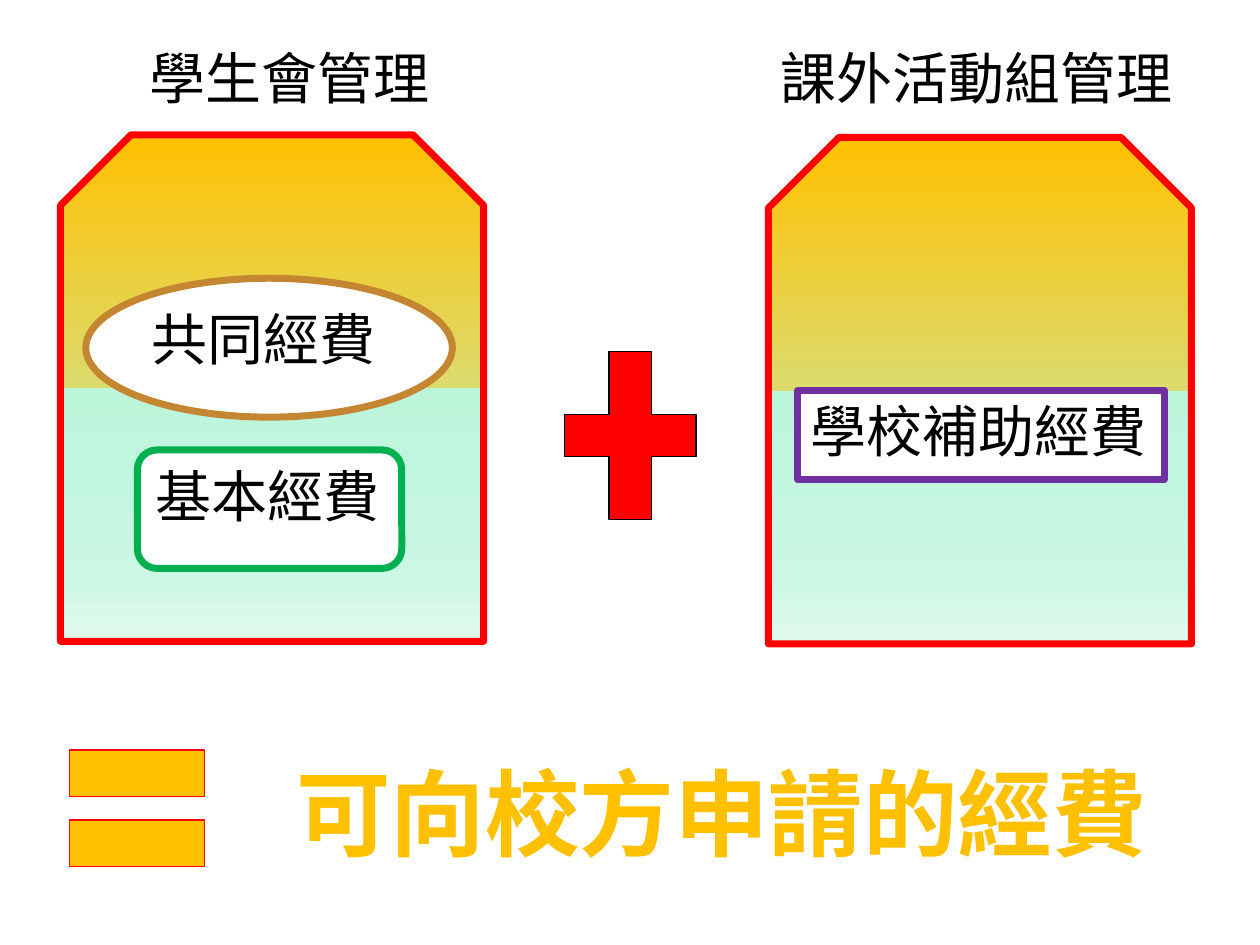
from lxml import etree
from pptx import Presentation
from pptx.dml.color import RGBColor
from pptx.enum.shapes import MSO_SHAPE as Preset
from pptx.enum.text import MSO_ANCHOR as Anchor, PP_ALIGN as Align
from pptx.oxml.ns import qn
from pptx.util import Cm, Pt

FONT = "Noto Sans CJK SC"
COLOURS = {
    "white": "FFFFFF", "black": "000000", "red": "FF0000", "gold": "FFC000",
    "bronze": "C58631", "green": "00B050", "purple": "7030A0",
}
CARD_GRADIENT = [
    (0, "FFC000"), (50, "DCDB6E"), (50, "BAF5DA"),
    (88, "CCF7E4"), (94, "D9F9EB"), (100, "DEF9EC"),
]


def colour(name):
    return RGBColor.from_string(COLOURS[name])


def write_text(shape, text, size=32, ink="black", bold=False, align=Align.LEFT, wrap=True):
    frame = shape.text_frame
    frame.word_wrap = wrap
    frame.vertical_anchor = Anchor.TOP
    paragraph = frame.paragraphs[0]
    paragraph.alignment = align
    run = paragraph.add_run()
    run.text = text
    run.font.color.rgb = colour(ink)
    for name, value in {"name": FONT, "size": Pt(size), "bold": bold}.items():
        setattr(run.font, name, value)
    etree.SubElement(run.font._element, qn("a:ea"), typeface=FONT)


def add_figure(slide, preset, box, line, width, fill=None):
    shape = slide.shapes.add_shape(preset, *map(Cm, box))
    shape.shadow.inherit = False
    shape.line.color.rgb = colour(line)
    shape.line.width = Pt(width)
    if fill:
        shape.fill.solid()
        shape.fill.fore_color.rgb = colour(fill)
    return shape


def add_card(slide, left, top):
    card = add_figure(slide, Preset.SNIP_2_SAME_RECTANGLE, (left, top, 8.53, 10.21), "red", 4)
    card.fill.gradient()
    gradient = card._element.spPr.find(qn("a:gradFill"))
    gradient.find(qn("a:lin")).set("ang", "5400000")
    stops = gradient.find(qn("a:gsLst"))
    for stop in list(stops):
        stops.remove(stop)
    for percent, value in CARD_GRADIENT:
        stop = etree.SubElement(stops, qn("a:gs"), pos=str(percent * 1000))
        etree.SubElement(stop, qn("a:srgbClr"), val=value)


def add_fund(slide, preset, box, line, text):
    write_text(add_figure(slide, preset, box, line, 4, "white"), text)


def add_label(slide, box, text, **style):
    write_text(slide.shapes.add_textbox(*map(Cm, box)), text, **style)


def main():
    presentation = Presentation()
    presentation.slide_width, presentation.slide_height = Cm(25.4), Cm(19.05)
    slide = presentation.slides.add_slide(presentation.slide_layouts[6])

    add_card(slide, 1.22, 2.72)
    add_fund(slide, Preset.OVAL, (1.73, 5.61, 7.39, 2.8), "bronze", "共同經費")
    add_fund(slide, Preset.ROUNDED_RECTANGLE, (2.77, 9.07, 5.33, 2.39), "green", "基本經費")
    add_card(slide, 15.49, 2.77)
    add_fund(slide, Preset.RECTANGLE, (16.08, 7.87, 7.39, 1.8), "purple", "學校補助經費")

    add_label(slide, (2.77, 0.76, 6.38, 1.63), "學生會管理", wrap=False)
    add_label(slide, (15.49, 0.76, 9.19, 1.63), "課外活動組管理", wrap=False)

    add_figure(slide, Preset.MATH_PLUS, (10.9, 6.48, 3.61, 4.6), "black", 0.75, "red")
    add_figure(slide, Preset.MATH_EQUAL, (0.91, 14.3, 3.71, 3.99), "red", 0.75, "gold")
    add_label(slide, (5.44, 15.09, 18.21, 2.57), "可向校方申請的經費",
              size=54, ink="gold", bold=True, align=Align.CENTER)

    presentation.save("out.pptx")


if __name__ == "__main__":
    main()
